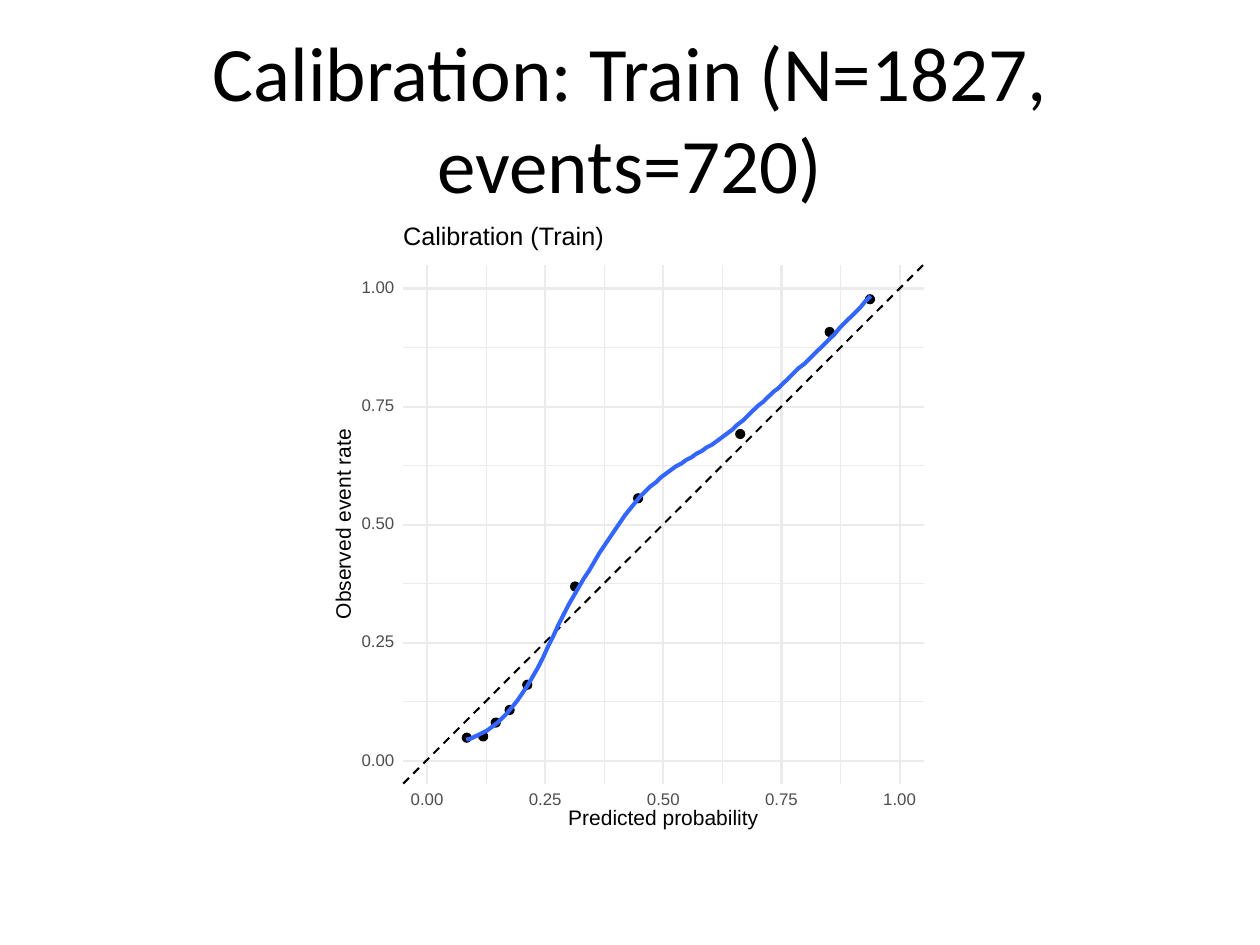
from lxml import etree
from pptx import Presentation
from pptx.dml.color import RGBColor
from pptx.enum import dml, shapes, text
from pptx.oxml import ns
from pptx.util import Inches, Pt

TITLE = "Calibration: Train (N=1827, events=720)"
TICKS = [0, 0.25, 0.5, 0.75, 1]
MINOR = [0.125, 0.375, 0.625, 0.875]
DOTS = [
    (3.67, 5.82), (3.8, 5.81), (3.9, 5.7), (4.01, 5.6), (4.15, 5.4),
    (4.53, 4.62), (5.03, 3.92), (5.84, 3.41), (6.55, 2.6), (6.87, 2.34),
]
CURVE = [
    5.87, 5.86, 5.84, 5.82, 5.8, 5.77, 5.74, 5.7, 5.66, 5.61,
    5.56, 5.5, 5.44, 5.37, 5.3, 5.22, 5.13, 5.05, 4.96, 4.88,
    4.8, 4.73, 4.66, 4.59, 4.53, 4.46, 4.39, 4.33, 4.27, 4.21,
    4.15, 4.09, 4.04, 3.99, 3.94, 3.9, 3.86, 3.83, 3.79, 3.76,
    3.73, 3.7, 3.68, 3.65, 3.63, 3.6, 3.58, 3.55, 3.53, 3.5,
    3.47, 3.44, 3.41, 3.37, 3.34, 3.3, 3.26, 3.22, 3.19, 3.15,
    3.11, 3.08, 3.04, 3, 2.96, 2.92, 2.89, 2.85, 2.81, 2.77,
    2.73, 2.69, 2.65, 2.6, 2.56, 2.52, 2.48, 2.44, 2.39, 2.35,
]
LABELS = [
    ("Predicted probability", 4.51, 6.43, 1.51, 0.15, 12, 0),
    ("Observed event rate", 1.98, 4.1, 1.51, 0.12, 12, 270),
    ("Calibration (Train)", 3.2, 1.79, 1.6, 0.19, 14.4, 0),
]
LEFT, TOP, RIGHT, BASE = 3.2, 2.1, 7.33, 6.22
ZERO_X, ZERO_Y, UNIT = 3.39, 6.04, 3.75
START, END = 3.7, 6.91

prs = Presentation()
prs.slide_width, prs.slide_height = Inches(10), Inches(7.5)
slide = prs.slides.add_slide(prs.slide_layouts[6])
items = slide.shapes


def rgb(code):
    return RGBColor.from_string(code)


def stroke(line, color, width):
    line.color.rgb = rgb(color)
    line.width = Pt(width)


def solid(kind, box, color, width=0):
    shape = items.add_shape(kind, *map(Inches, box))
    shape.shadow.inherit = False
    shape.fill.solid()
    shape.fill.fore_color.rgb = rgb(color)
    if width:
        stroke(shape.line, color, width)
    else:
        shape.line.fill.background()


def rule(x1, y1, x2, y2, color, width):
    link = items.add_connector(
        shapes.MSO_CONNECTOR.STRAIGHT, *map(Inches, (x1, y1, x2, y2)))
    stroke(link.line, color, width)
    etree.SubElement(link._element.spPr, ns.qn("a:effectLst"))
    return link


def write(words, x, y, w, h, size, turn=0, color="000000", face="Arial"):
    box = items.add_textbox(*map(Inches, (x, y, w, h)))
    box.rotation = turn
    frame = box.text_frame
    frame.vertical_anchor = text.MSO_ANCHOR.MIDDLE
    frame.text = words
    para = frame.paragraphs[0]
    para.font.name, para.font.size = face, Pt(size)
    para.font.color.rgb = rgb(color)
    return frame, para


def label(*args, **look):
    frame, para = write(*args, **look)
    frame.word_wrap = False
    frame.margin_left = frame.margin_right = 0
    frame.margin_top = frame.margin_bottom = 0
    para.line_spacing = para.font.size


def at_x(value):
    return ZERO_X + UNIT * value


def at_y(value):
    return ZERO_Y - UNIT * value


frame, para = write(TITLE, 0.5, 0.3, 9, 1.25, 44, face="Calibri")
frame.word_wrap = True
para.alignment = text.PP_ALIGN.CENTER

RECT = shapes.MSO_SHAPE.RECTANGLE
solid(RECT, (0.5, 1.75, 9, 4.95), "FFFFFF", 0.75)
solid(RECT, (2.59, 1.75, 4.82, 4.95), "FFFFFF")

for values, width in ((MINOR, 0.58), (TICKS, 1.16)):
    for value in values:
        rule(LEFT, at_y(value), RIGHT, at_y(value), "EBEBEB", width)
    for value in values:
        rule(at_x(value), BASE, at_x(value), TOP, "EBEBEB", width)

ideal = rule(LEFT, BASE, RIGHT, TOP, "000000", 1.16)
ideal.line.dash_style = dml.MSO_LINE.DASH

for x, y in DOTS:
    solid(shapes.MSO_SHAPE.OVAL, (x, y, 0.07, 0.07), "000000", 0.77)

step = (END - START) / (len(CURVE) - 1)
points = [(Inches(START + i * step), Inches(y)) for i, y in enumerate(CURVE)]
pen = items.build_freeform(*points[0])
pen.add_line_segments(points[1:], close=False)
curve = pen.convert_to_shape()
curve.shadow.inherit = False
curve.fill.background()
stroke(curve.line, "3366FF", 2.33)

for value in TICKS:
    label(f"{value:.2f}", 2.87, at_y(value) - 0.05, 0.26, 0.1, 9.6, color="4D4D4D")
for value in TICKS:
    label(f"{value:.2f}", at_x(value) - 0.13, 6.3, 0.26, 0.1, 9.6, color="4D4D4D")
for row in LABELS:
    label(*row)

prs.save("out.pptx")
